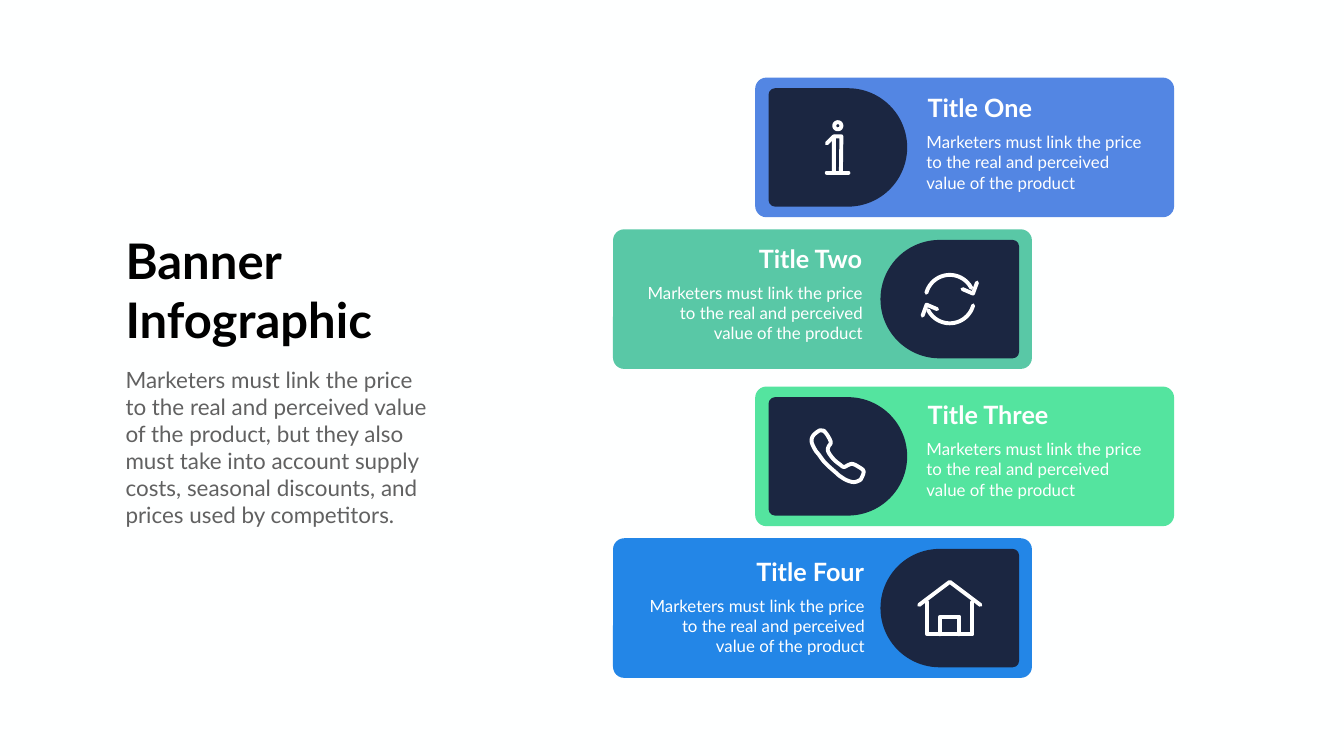
from math import cos, sin, radians
from lxml.etree import SubElement
from pptx import Presentation
from pptx.dml.color import RGBColor
from pptx.enum.shapes import MSO_SHAPE
from pptx.enum.text import MSO_ANCHOR, MSO_AUTO_SIZE, PP_ALIGN
from pptx.oxml.ns import qn
from pptx.util import Inches, Pt

HEX = {"back": "FEFFFF", "navy": "1B2641", "white": "FFFFFF", "black": "000000",
       "gray": "616161", "blue": "5386E3", "teal": "59C8A6", "green": "54E49F", "azure": "2386E7"}
HEAD = "Banner \nInfographic"
LEAD = ("Marketers must link the price to the real and perceived value of the product, "
        "but they also must take into account supply costs, seasonal discounts, "
        "and prices used by competitors.")
NOTE = "Marketers must link the price to the real and perceived value of the product"
ROWS = [
    ("Title One", "blue", "info", 1.54, 1.78, 18.28),
    ("Title Two", "teal", "cycle", 4.55, 4.77, 12.68),
    ("Title Three", "green", "phone", 7.67, 7.87, 18.28),
    ("Title Four", "azure", "home", 10.68, 10.98, 12.72),
]
WIDE, TALL = 8.31, 2.77
TAB, DEEP = 2.75, 2.35
NOTE_W, NAME_W = 4.53, 2.78


def arc(rad, start, end, dy=0):
    return [(rad * cos(radians(a)), dy + rad * sin(radians(a)))
            for a in range(start, end + 1, 3)]


def curve(knots, steps=6):
    out = []
    for i in range(len(knots)):
        a, b, c, d = (knots[(i + j) % len(knots)] for j in (-1, 0, 1, 2))
        for s in range(steps):
            t = s / steps
            out.append(tuple(
                (2 * q + (r - p) * t + (2 * p - 5 * q + 4 * r - u) * t ** 2
                 + (3 * q - p - 3 * r + u) * t ** 3) / 2
                for p, q, r, u in zip(a, b, c, d)))
    return out + out[:1]


def turn(pts):
    return [(-x, -y) for x, y in pts]


HAND = [(-.3, -.51), (-.37, -.51), (-.49, -.41), (-.52, -.29), (-.45, -.13),
        (-.38, -.04), (-.25, .13), (-.03, .33), (.04, .39), (.17, .47),
        (.31, .51), (.42, .48), (.47, .43), (.51, .29), (.4, .2),
        (.29, .15), (.21, .17), (.12, .21), (.04, .16), (-.07, .07),
        (-.16, -.04), (-.2, -.13), (-.18, -.2), (-.14, -.28), (-.2, -.41), (-.27, -.5)]
BOW = arc(.48, 195, 333)
TIP = [(.54, -.33), (.46, -.11), (.25, -.2)]
ICONS = {
    "info": [arc(.07, 0, 360, -.43), [(-.22, .5), (.21, .5)], [(-.22, -.08), (-.08, -.22)],
             [(-.08, .5), (-.08, -.22), (.07, -.22), (.06, .5)]],
    "cycle": [BOW, TIP, turn(BOW), turn(TIP)],
    "phone": [curve(HAND)],
    "home": [[(-.61, -.06), (0, -.52), (.61, -.06)],
             [(-.45, -.12), (-.45, .52), (.45, .52), (.45, -.12)],
             [(-.19, .52), (-.19, .17), (.19, .17), (.19, .52)]],
}

deck = Presentation()
deck.slide_width, deck.slide_height = Inches(26.66), Inches(15)
slide = deck.slides.add_slide(deck.slide_layouts[1])
shapes = slide.shapes


def tint(name):
    return RGBColor.from_string(HEX[name])


def block(kind, x, y, w, h, name, rounds, spin=0):
    box = shapes.add_shape(kind, Inches(x), Inches(y), Inches(w), Inches(h))
    box.shadow.inherit = False
    box.fill.solid()
    box.fill.fore_color.rgb = tint(name)
    box.line.fill.background()
    box.rotation = spin
    for i, r in enumerate(rounds):
        box.adjustments[i] = r


def stroke(pts, x, y):
    pts = [(Inches(x + a), Inches(y + b)) for a, b in pts]
    pen = shapes.build_freeform(*pts[0])
    pen.add_line_segments(pts[1:], close=pts[0] == pts[-1])
    path = pen.convert_to_shape()
    path.shadow.inherit = False
    path.fill.background()
    path.line.color.rgb = tint("white")
    path.line.width = Pt(5.6)
    edge = path.line._get_or_add_ln()
    edge.set("cap", "rnd")
    SubElement(edge, qn("a:round"))


def write(box, x, y, w, h, text, size, name, bold=False, align=PP_ALIGN.LEFT):
    box.left, box.top, box.width, box.height = map(Inches, (x, y, w, h))
    frame = box.text_frame
    frame.text = text
    frame.word_wrap = True
    frame.auto_size = MSO_AUTO_SIZE.NONE
    frame.vertical_anchor = MSO_ANCHOR.TOP
    for para in frame.paragraphs:
        para.alignment = align
        para.space_before = Pt(0)
        font = para.font
        font.name, font.size, font.bold = "Lato", Pt(size), bold
        font.color.rgb = tint(name)


slide.background.fill.solid()
slide.background.fill.fore_color.rgb = tint("back")
write(shapes.title, 2.39, 4.52, 5.8, 2.46, HEAD, 70, "black", True)
body = slide.placeholders[1]
write(body, 2.39, 7.22, 6.28, 3.33, LEAD, 32, "gray")
props = body.text_frame.paragraphs[0]._p.get_or_add_pPr()
props.set("marL", "0")
props.set("indent", "0")
props.insert_element_before(props.makeelement(qn("a:buNone")), "a:tabLst", "a:defRPr", "a:extLst")

for i, (name, color, icon, top, text_y, text_x) in enumerate(ROWS):
    left = i % 2
    mid_x = 18.84 if left else 16.62
    mid_y = top + TALL / 2
    block(MSO_SHAPE.ROUNDED_RECTANGLE, 12.16 if left else 14.98, top, WIDE, TALL, color, [.08])
    block(MSO_SHAPE.ROUND_2_SAME_RECTANGLE, mid_x - DEEP / 2, mid_y - TAB / 2, DEEP, TAB,
          "navy", [.5, .055], 270 if left else 90)
    for pts in ICONS[icon]:
        stroke(pts, mid_x, mid_y)
    align = PP_ALIGN.RIGHT if left else PP_ALIGN.LEFT
    name_x = text_x + NOTE_W - NAME_W - .01 if left else text_x + .02
    write(shapes.add_textbox(0, 0, 0, 0), name_x, text_y, NAME_W, .71,
          name, 36, "white", True, align)
    write(shapes.add_textbox(0, 0, 0, 0), text_x, text_y + .79, NOTE_W, 1.31,
          NOTE, 24, "white", align=align)

deck.save("out.pptx")
